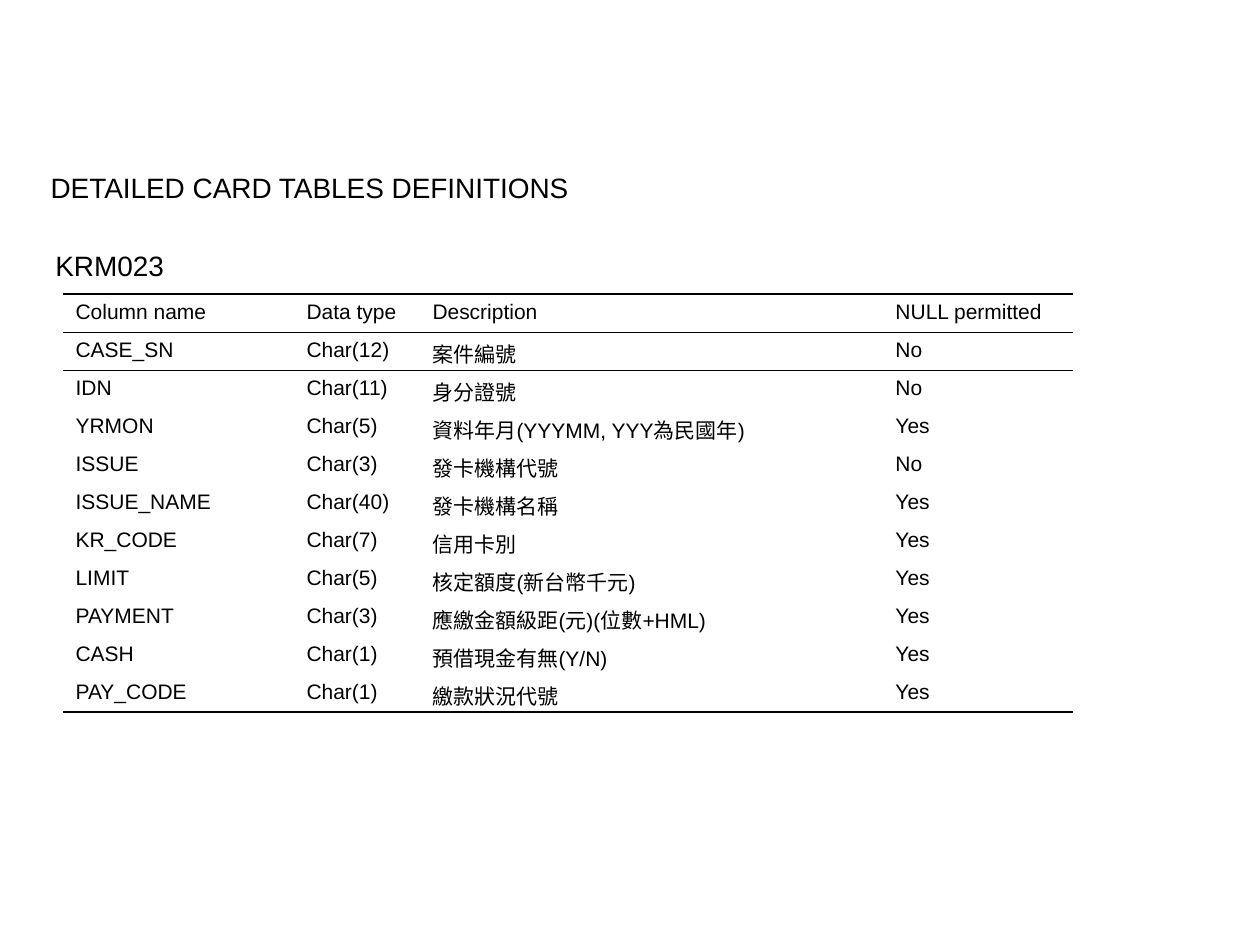
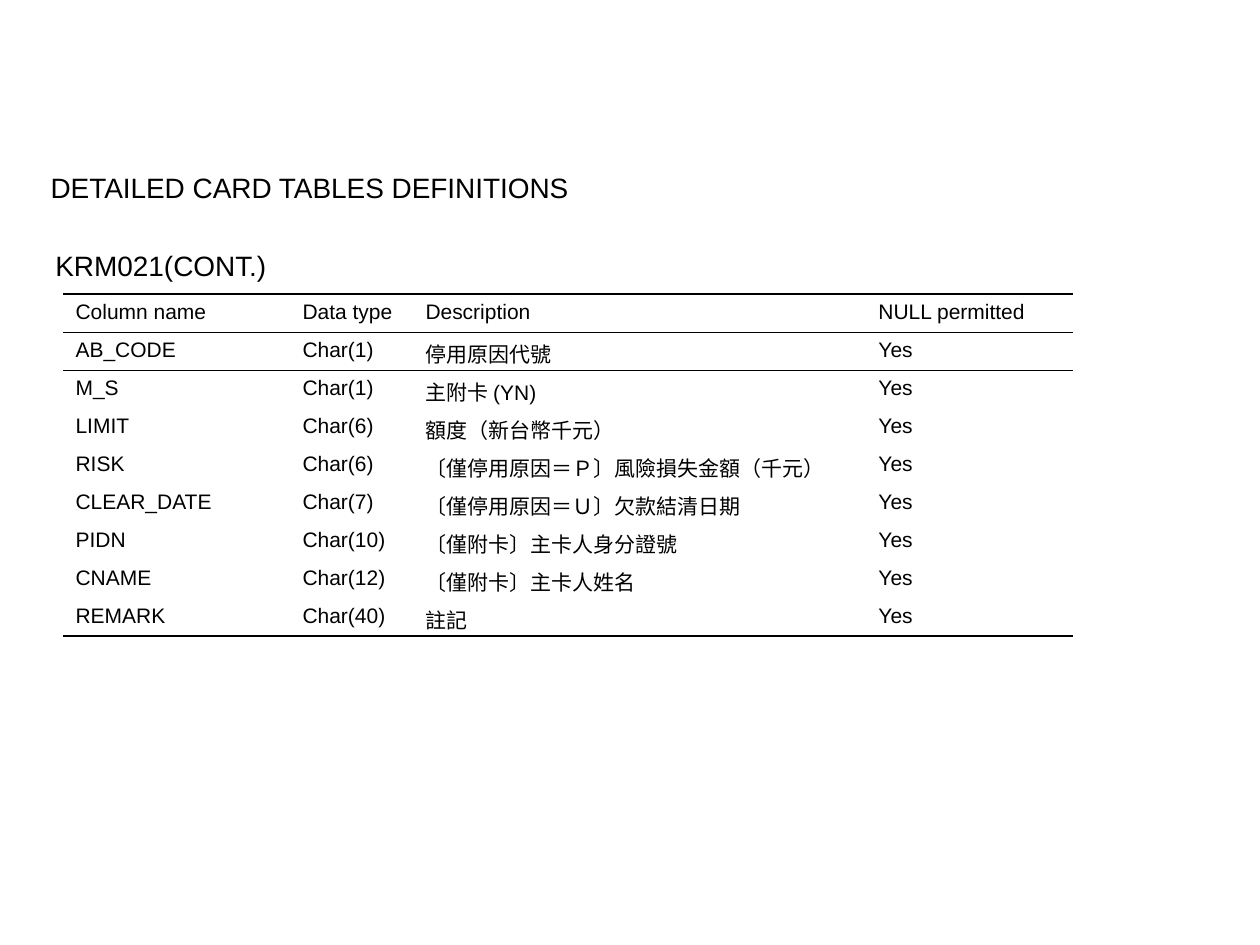
from lxml import etree
from pptx import Presentation
from pptx.dml.color import RGBColor
from pptx.enum.text import MSO_ANCHOR, MSO_AUTO_SIZE, PP_ALIGN
from pptx.oxml.ns import qn
from pptx.util import Inches, Pt

PX = 7257  # EMU in one px, 126 px to the inch
LEFT = PP_ALIGN.LEFT
TOP = MSO_ANCHOR.TOP
GROW = MSO_AUTO_SIZE.SHAPE_TO_FIT_TEXT

FONT = "Arial"
INK = "000000"
HEADING_SIZE, CELL_SIZE = 16, 12
OUTER_RULE, HEADER_RULE = 0.75, 0.45
ROW_HEIGHT = 38
NO_STYLE = "{2D5ABB26-0587-4C30-8999-92F81FD0307C}"

TITLE = "DETAILED CARD TABLES DEFINITIONS"
HEADER = ("Column name", "Data type", "Description", "NULL permitted")

# Each page: table name, width of its box, column widths, field rows
PAGES = [
    ("KRM023", 134, (231, 126, 463, 190), [
        ("CASE_SN", "Char(12)", "案件編號", "No"),
        ("IDN", "Char(11)", "身分證號", "No"),
        ("YRMON", "Char(5)", "資料年月(YYYMM, YYY為民國年)", "Yes"),
        ("ISSUE", "Char(3)", "發卡機構代號", "No"),
        ("ISSUE_NAME", "Char(40)", "發卡機構名稱", "Yes"),
        ("KR_CODE", "Char(7)", "信用卡別", "Yes"),
        ("LIMIT", "Char(5)", "核定額度(新台幣千元)", "Yes"),
        ("PAYMENT", "Char(3)", "應繳金額級距(元)(位數+HML)", "Yes"),
        ("CASH", "Char(1)", "預借現金有無(Y/N)", "Yes"),
        ("PAY_CODE", "Char(1)", "繳款狀況代號", "Yes"),
    ]),
    ("KRM021(CONT.)", 239, (227, 123, 453, 207), [
        ("AB_CODE", "Char(1)", "停用原因代號", "Yes"),
        ("M_S", "Char(1)", "主附卡 (YN)", "Yes"),
        ("LIMIT", "Char(6)", "額度（新台幣千元）", "Yes"),
        ("RISK", "Char(6)", "〔僅停用原因＝Ｐ〕風險損失金額（千元）", "Yes"),
        ("CLEAR_DATE", "Char(7)", "〔僅停用原因＝Ｕ〕欠款結清日期", "Yes"),
        ("PIDN", "Char(10)", "〔僅附卡〕主卡人身分證號", "Yes"),
        ("CNAME", "Char(12)", "〔僅附卡〕主卡人姓名", "Yes"),
        ("REMARK", "Char(40)", "註記", "Yes"),
    ]),
]


def colour(hex_string):
    return RGBColor.from_string(hex_string)


def write(frame, text, size):
    para = frame.paragraphs[0]
    para.alignment = LEFT
    span = para.add_run()
    span.text = text
    span.font.name = FONT
    span.font.size = Pt(size)
    span.font.color.rgb = colour(INK)


deck = Presentation()
deck.slide_width, deck.slide_height = Inches(10), Inches(7.5)
title_only = deck.slide_layouts[5]

for table_name, name_width, column_widths, fields in PAGES:
    page = deck.slides.add_slide(title_only)

    # Title
    title = page.shapes.title
    title.left, title.top = 38 * PX, 164 * PX
    title.width, title.height = 1171 * PX, 47 * PX
    title.text_frame.vertical_anchor = TOP
    title.text_frame.auto_size = GROW
    write(title.text_frame, TITLE, HEADING_SIZE)

    # Table name
    box = page.shapes.add_textbox(43 * PX, 242 * PX, name_width * PX, 47 * PX)
    box.text_frame.word_wrap = False
    box.text_frame.auto_size = GROW
    write(box.text_frame, table_name, HEADING_SIZE)

    # Field table
    rows = [HEADER] + fields
    frame = page.shapes.add_table(
        len(rows), len(HEADER), 63 * PX, 294 * PX,
        sum(column_widths) * PX, len(rows) * ROW_HEIGHT * PX)
    table = frame.table
    table.first_row = table.horz_banding = False
    table._tbl.tblPr.find(qn("a:tableStyleId")).text = NO_STYLE
    for column, width in zip(table.columns, column_widths):
        column.width = width * PX

    # Rules above and below the header and below the last row
    rules = {
        0: {"a:lnT": OUTER_RULE, "a:lnB": HEADER_RULE},
        1: {"a:lnT": HEADER_RULE},
        len(rows) - 1: {"a:lnB": OUTER_RULE},
    }
    for row_index, values in enumerate(rows):
        table.rows[row_index].height = ROW_HEIGHT * PX
        for column_index, value in enumerate(values):
            cell = table.cell(row_index, column_index)
            write(cell.text_frame, value, CELL_SIZE)
            properties = cell._tc.get_or_add_tcPr()
            for edge, weight in rules.get(row_index, {}).items():
                line = etree.SubElement(properties, qn(edge), w=str(Pt(weight)))
                fill = etree.SubElement(line, qn("a:solidFill"))
                etree.SubElement(fill, qn("a:srgbClr"), val=INK)
            cell.fill.background()

deck.save("out.pptx")
